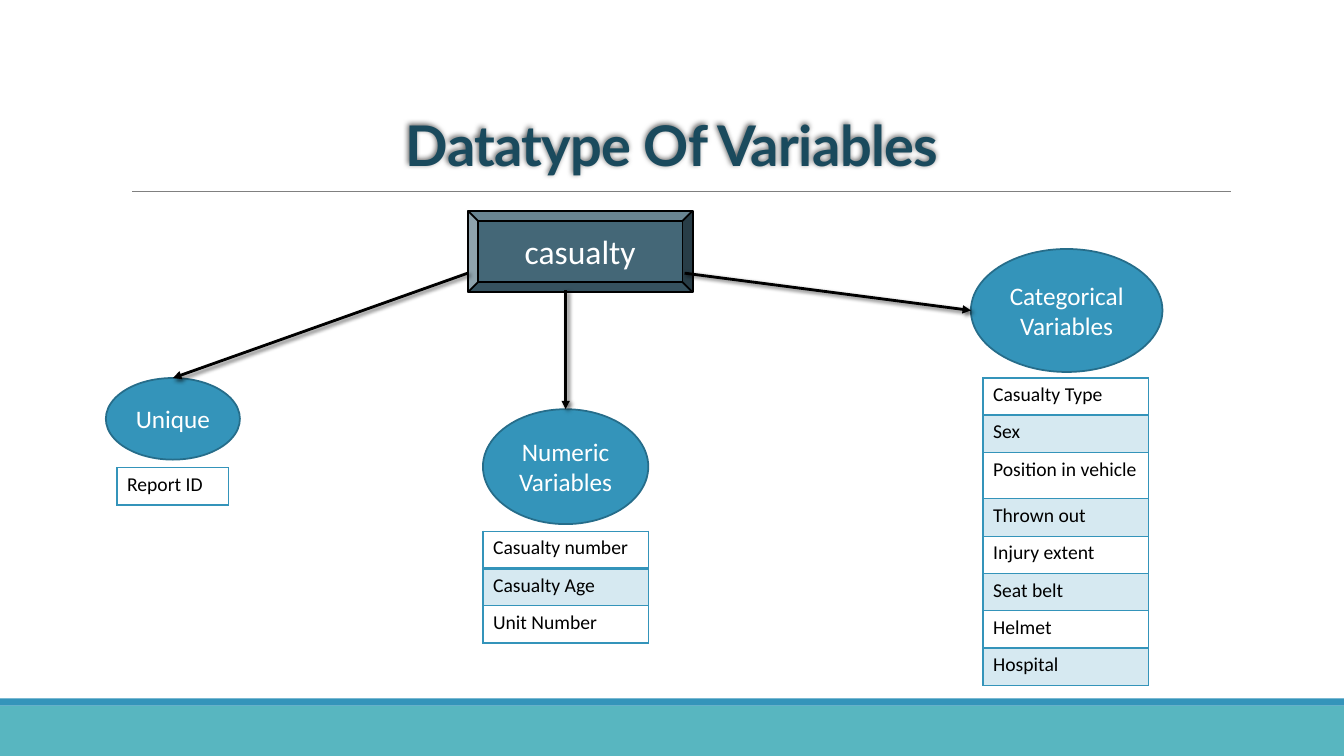
from dataclasses import dataclass

from lxml import etree
from pptx import Presentation
from pptx import util as u
from pptx.dml.color import RGBColor
from pptx.enum import shapes, text
from pptx.oxml import parse_xml
from pptx.oxml.ns import nsdecls, qn

PX = 9144
BLUE, PALE, BLACK, WHITE = "3494BA", "D6E9F1", "000000", "FFFFFF"
KIND = shapes.MSO_SHAPE


@dataclass
class Node:
    label: str
    left: int
    top: int
    width: int
    height: int
    kind: int = KIND.OVAL
    fill: str = BLUE
    edge: str = "266D8A"
    size: int = 18


@dataclass
class Grid:
    left: int
    top: int
    width: int
    rows: list[str]


@dataclass
class Link:
    start: tuple[int, int]
    end: tuple[int, int]
    goal: str = ""


GRIDS = [
    Grid(975, 375, 164, ["Casualty Type", "Sex", "Position in vehicle", "Thrown out",
                         "Injury extent", "Seat belt", "Helmet", "Hospital"]),
    Grid(479, 527, 164, ["Casualty number", "Casualty Age", "Unit Number"]),
    Grid(116, 464, 111, ["Report ID"]),
]
NODES = [
    Node("Categorical Variables", 963, 247, 190, 122),
    Node("Numeric Variables", 479, 406, 164, 114),
    Node("casualty", 464, 209, 223, 81, KIND.BEVEL, "446777", BLACK, 24),
    Node("Unique", 105, 375, 133, 81),
]
LINKS = [
    Link((464, 271), (172, 375), "Unique"),
    Link((561, 288), (561, 406), "Numeric Variables"),
    Link((679, 271), (963, 308)),
]
TALL = {"Position in vehicle": 46}


def px(*nums: int) -> list[u.Emu]:
    return [u.Emu(num * PX) for num in nums]


def color(code: str) -> RGBColor:
    return RGBColor.from_string(code)


def style(para, size: int, code: str, face: str = "Calibri") -> None:
    for run in para.runs:
        run.font.size = u.Pt(size)
        run.font.name = face
        run.font.color.rgb = color(code)


def shade(shape, blur: int, dist: int, angle: int) -> None:
    shape._element.spPr.append(parse_xml(
        f'<a:effectLst {nsdecls("a")}><a:outerShdw blurRad="{blur * 12700}" '
        f'dist="{dist * 12700}" dir="{angle * 60000}" algn="ctr" rotWithShape="0">'
        f'<a:srgbClr val="{BLACK}"><a:alpha val="60000"/></a:srgbClr>'
        '</a:outerShdw></a:effectLst>'))


def bar(slide, top: int, height: int, code: str) -> None:
    band = slide.shapes.add_shape(KIND.RECTANGLE, *px(0, top, 1333, height))
    band.shadow.inherit = False
    band.fill.solid()
    band.fill.fore_color.rgb = color(code)
    band.line.fill.background()


def line(slide, start: tuple[int, int], end: tuple[int, int], code: str, width: float):
    wire = slide.shapes.add_connector(shapes.MSO_CONNECTOR.STRAIGHT, *px(*start, *end))
    wire.line.color.rgb = color(code)
    wire.line.width = u.Pt(width)
    return wire


def title(slide) -> None:
    box = slide.shapes.add_textbox(*px(390, 84, 553, 97))
    frame = box.text_frame
    frame.word_wrap = True
    frame.vertical_anchor = text.MSO_ANCHOR.BOTTOM
    frame.text = "Datatype Of Variables"
    para = frame.paragraphs[0]
    para.alignment = text.PP_ALIGN.CENTER
    para.line_spacing = 0.85
    style(para, 40, "1A4A5D", "Lato")
    para.runs[0].font.bold = True
    para.runs[0]._r.get_or_add_rPr().set("spc", "-50")
    shade(box, 4, 2, 225)


def edge(cell, side: str, width: int) -> None:
    props = cell._tc.get_or_add_tcPr()
    rule = etree.SubElement(props, qn(f"a:ln{side}"), w=str(width * 12700))
    fill = etree.SubElement(rule, qn("a:solidFill"))
    etree.SubElement(fill, qn("a:srgbClr"), val=BLUE)


def grid(slide, item: Grid) -> None:
    highs = [TALL.get(label, 37) for label in item.rows]
    frame = slide.shapes.add_table(len(highs), 1, *px(item.left, item.top, item.width, sum(highs)))
    table = frame.table
    table.first_row = table.horz_banding = False
    for i, (label, high) in enumerate(zip(item.rows, highs)):
        table.rows[i].height = px(high)[0]
        cell = table.cell(i, 0)
        cell.text = label
        style(cell.text_frame.paragraphs[0], 14, BLACK)
        for side in "LRTB":
            edge(cell, side, 2 if (i, side) in ((0, "B"), (1, "T")) else 1)
        if i % 2:
            cell.fill.solid()
            cell.fill.fore_color.rgb = color(PALE)
        else:
            cell.fill.background()


def node(slide, item: Node):
    shape = slide.shapes.add_shape(item.kind, *px(item.left, item.top, item.width, item.height))
    shape.shadow.inherit = False
    shape.fill.solid()
    shape.fill.fore_color.rgb = color(item.fill)
    shape.line.color.rgb = color(item.edge)
    shape.line.width = u.Pt(1.25)
    frame = shape.text_frame
    frame.margin_left = frame.margin_right = 0
    frame.vertical_anchor = text.MSO_ANCHOR.MIDDLE
    frame.text = item.label
    para = frame.paragraphs[0]
    para.alignment = text.PP_ALIGN.CENTER
    style(para, item.size, WHITE)
    return shape


def link(slide, item: Link, nodes: dict) -> None:
    wire = line(slide, item.start, item.end, BLACK, 2)
    if item.goal:
        wire.end_connect(nodes[item.goal], 0)
    etree.SubElement(wire.line._get_or_add_ln(), qn("a:tailEnd"), type="triangle")
    shade(wire, 3, 2, 45)


def main() -> None:
    """Build the slide of variable types and save it."""
    deck = Presentation()
    deck.slide_width, deck.slide_height = px(1333, 750)
    slide = deck.slides.add_slide(deck.slide_layouts[6])
    bar(slide, 700, 50, "58B6C0")
    bar(slide, 693, 7, BLUE)
    rule = line(slide, (131, 190), (1221, 190), "808080", 0.5)
    etree.SubElement(rule._element.spPr, qn("a:effectLst"))
    title(slide)
    for item in GRIDS:
        grid(slide, item)
    nodes = {item.label: node(slide, item) for item in NODES}
    for item in LINKS:
        link(slide, item, nodes)
    deck.save("out.pptx")


if __name__ == "__main__":
    main()
